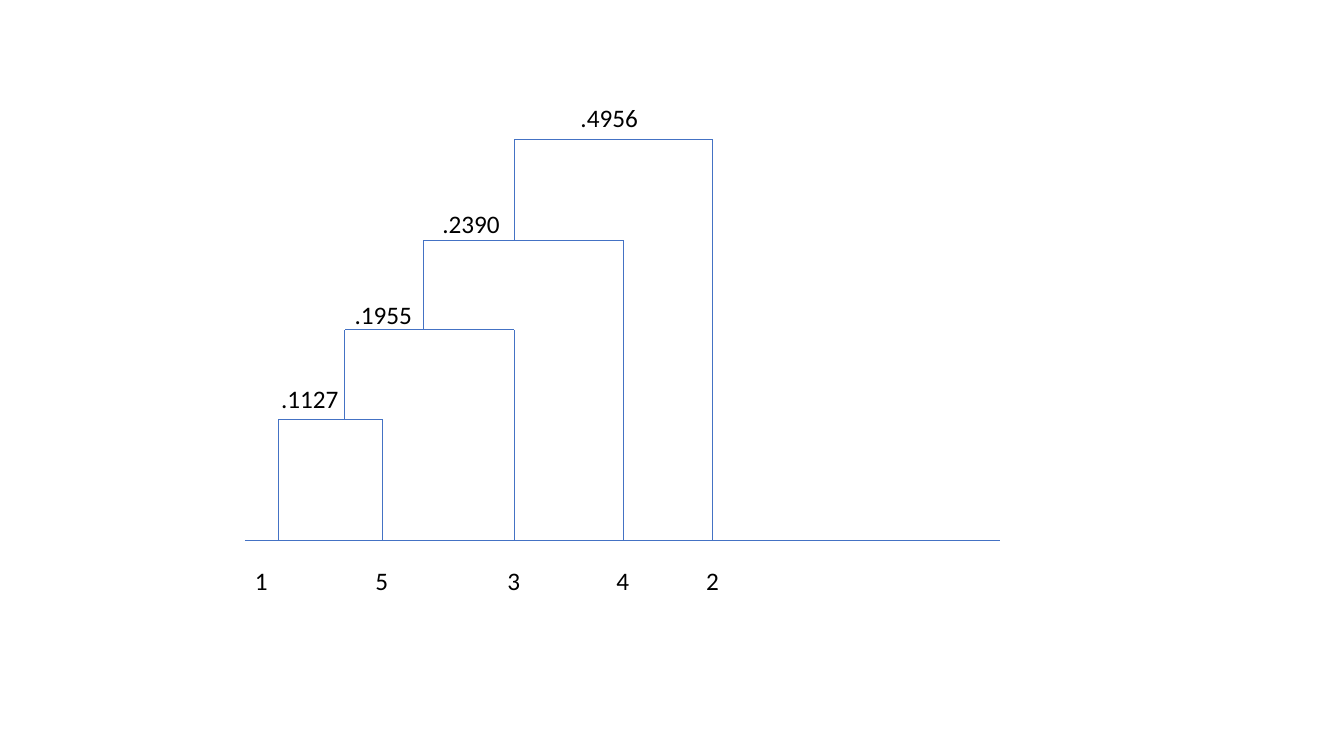
from lxml.etree import SubElement
from pptx import Presentation
from pptx.dml.color import RGBColor
from pptx.enum.shapes import MSO_CONNECTOR
from pptx.oxml.ns import qn
from pptx.util import Pt

COLORS = {"branch": "4472C4", "text": "000000"}
FONT = "Calibri"
INSET = 7.2  # left text margin of a text box

BASELINE = 385.9
AXIS_LEFT, AXIS_RIGHT = 175, 714.2
LABELS_TOP = 400.3

# Observation number and horizontal place, in dendrogram order
LEAVES = {"1": 198.7, "5": 272.9, "3": 367.2, "4": 445, "2": 509}

# Joined leaf, height of the join, stem leading upwards, label and its corner
MERGES = [
    ("5", 299.5, 246.2, ".1127", (193.7, 270)),
    ("3", 235.4, 302.4, ".1955", (246.2, 210.2)),
    ("4", 171.4, 367.2, ".2390", (308.9, 145.4)),
    ("2", 99.4, None, ".4956", (407.5, 69.8)),
]


def add_line(slide, start, end):
    line = slide.shapes.add_connector(
        MSO_CONNECTOR.STRAIGHT, *(Pt(value) for value in (*start, *end)))
    line.line.color.rgb = RGBColor.from_string(COLORS["branch"])
    line.line.width = Pt(0.5)
    SubElement(line._element.spPr, qn("a:effectLst"))


def add_label(slide, text, left, top, width=72.7):
    box = slide.shapes.add_textbox(Pt(left), Pt(top), Pt(width), Pt(29))
    box.text_frame.word_wrap = True
    paragraph = box.text_frame.paragraphs[0]
    paragraph.text = text
    for run in paragraph.runs:
        run.font.name = FONT
        run.font.size = Pt(18)
        run.font.color.rgb = RGBColor.from_string(COLORS["text"])
    return paragraph


def add_centered_tabs(paragraph, positions):
    tab_list = SubElement(paragraph._p.get_or_add_pPr(), qn("a:tabLst"))
    for position in positions:
        SubElement(tab_list, qn("a:tab"), pos=str(int(Pt(position))), algn="ctr")


def add_leaf_labels(slide):
    paragraph = add_label(slide, "\t".join(LEAVES), AXIS_LEFT, LABELS_TOP, 364.3)
    text_left = AXIS_LEFT + INSET
    add_centered_tabs(paragraph, [x - text_left for x in list(LEAVES.values())[1:]])


def add_dendrogram(slide):
    cluster_x, cluster_y = LEAVES["1"], BASELINE
    for leaf, height, stem, label, corner in MERGES:
        leaf_x = LEAVES[leaf]
        add_line(slide, (cluster_x, cluster_y), (cluster_x, height))
        add_line(slide, (leaf_x, BASELINE), (leaf_x, height))
        add_line(slide, (leaf_x, height), (cluster_x, height))
        add_label(slide, label, *corner)
        cluster_x, cluster_y = stem, height


def main():
    presentation = Presentation()
    presentation.slide_width, presentation.slide_height = Pt(960), Pt(540)
    slide = presentation.slides.add_slide(presentation.slide_layouts[6])

    # Axis, then the joined clusters, then the observation numbers
    add_line(slide, (AXIS_LEFT, BASELINE), (AXIS_RIGHT, BASELINE))
    add_dendrogram(slide)
    add_leaf_labels(slide)

    presentation.save("out.pptx")


main()
